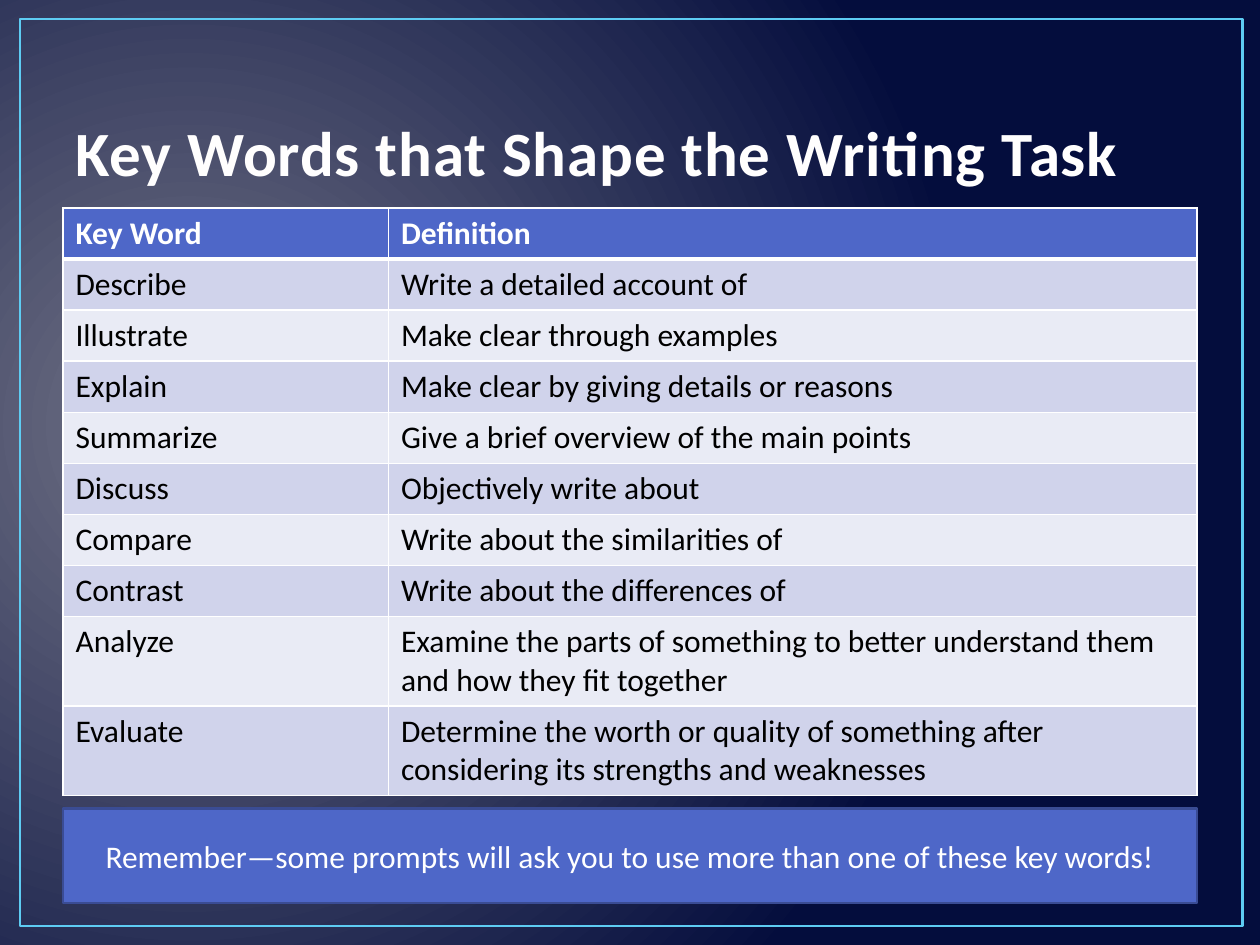
from lxml.etree import SubElement as Sub
from pptx import Presentation
from pptx.dml.color import RGBColor
from pptx.enum.shapes import MSO_SHAPE as Shape
from pptx.enum.text import MSO_ANCHOR as Anchor, MSO_AUTO_SIZE as Auto, PP_ALIGN as Align
from pptx.oxml import parse_xml
from pptx.oxml.ns import nsdecls, qn
from pptx.util import Pt

WHITE, BLUE = "FFFFFF", "4E67C8"
BANDS = ["D0D3EB", "E9EBF5"]
WORDS = [
    ("Key Word", "Definition"),
    ("Describe", "Write a detailed account of"),
    ("Illustrate", "Make clear through examples"),
    ("Explain", "Make clear by giving details or reasons"),
    ("Summarize", "Give a brief overview of the main points"),
    ("Discuss", "Objectively write about"),
    ("Compare", "Write about the similarities of"),
    ("Contrast", "Write about the differences of"),
    ("Analyze", "Examine the parts of something to better understand them "
                "and how they fit together"),
    ("Evaluate", "Determine the worth or quality of something after "
                 "considering its strengths and weaknesses"),
]


def rgb(code):
    return RGBColor.from_string(code)


def write(frame, text, size=18, color=WHITE, bold=False, align=Align.LEFT):
    para = frame.paragraphs[0]
    para.alignment = align
    run = para.add_run()
    run.text = text
    font = run.font
    font.name, font.size, font.bold = "Calibri", Pt(size), bold
    font.color.rgb = rgb(color)
    return run


def place(item, box):
    item.left, item.top, item.width, item.height = map(Pt, box)


def stroke(parent, tag, color, width):
    """Add a solid line element, such as a:ln or a:lnL, to parent."""
    line = Sub(parent, qn(tag), w=str(Pt(width)))
    fill = Sub(line, qn("a:solidFill"))
    Sub(fill, qn("a:srgbClr"), val=color)
    return line


def backdrop(slide):
    slide.element.cSld.insert(0, parse_xml(
        f'<p:bg {nsdecls("p", "a")}><p:bgPr><a:gradFill rotWithShape="1"><a:gsLst>'
        '<a:gs pos="0"><a:srgbClr val="717386"/></a:gs>'
        '<a:gs pos="100000"><a:srgbClr val="040D3D"/></a:gs></a:gsLst>'
        '<a:path path="circle"><a:fillToRect l="15000" t="50000" r="85000" b="60000"/>'
        '</a:path></a:gradFill><a:effectLst/></p:bgPr></p:bg>'))


def panel(slide, box, line, width, fill=None):
    rect = slide.shapes.add_shape(Shape.RECTANGLE, *map(Pt, box))
    rect.shadow.inherit = False
    if fill:
        rect.fill.solid()
        rect.fill.fore_color.rgb = rgb(fill)
    else:
        rect.fill.background()
    rect.line.color.rgb = rgb(line)
    rect.line.width = Pt(width)
    return rect


def heading(slide, box, text):
    title = slide.shapes.title
    place(title, box)
    frame = title.text_frame
    frame.word_wrap, frame.auto_size = True, Auto.NONE
    frame.vertical_anchor = Anchor.BOTTOM
    run = write(frame, text, size=36, color="FFFEFE", bold=True)
    props = run.font._element
    props.set("spc", "50")
    props.insert(0, stroke(props, "a:ln", "21306A", 1.05))


def glossary(slide, box, rows):
    table = slide.shapes.add_table(len(rows), 2, *map(Pt, box)).table
    first = 186
    table.columns[0].width = Pt(first)
    table.columns[1].width = Pt(box[2] - first)
    for r, row in enumerate(rows):
        head = r == 0
        table.rows[r].height = Pt(47.5 if len(row[1]) > 60 else 27.4)
        edges = {"L": 1, "R": 1, "T": 3 if r == 1 else 1, "B": 3 if head else 1}
        for c, text in enumerate(row):
            cell = table.cell(r, c)
            props = cell._tc.get_or_add_tcPr()
            for side, width in edges.items():
                stroke(props, f"a:ln{side}", WHITE, width)
            cell.fill.solid()
            cell.fill.fore_color.rgb = rgb(BLUE if head else BANDS[(r - 1) % 2])
            write(cell.text_frame, text, color=WHITE if head else "000000", bold=head)


def reminder(slide, box, text):
    frame = panel(slide, box, "3A4C94", 1.25, BLUE).text_frame
    frame.word_wrap = True
    frame.vertical_anchor = Anchor.MIDDLE
    write(frame, text, align=Align.CENTER)


def main():
    deck = Presentation()
    deck.slide_width, deck.slide_height = Pt(720), Pt(540)
    slide = deck.slides.add_slide(deck.slide_layouts[5])
    left, wide = 36, 648
    backdrop(slide)
    panel(slide, (11.5, 10.8, 698.4, 518.4), "5ECCF3", 1.5)
    heading(slide, (left, 21.6, wide, 90), "Key Words that Shape the Writing Task")
    glossary(slide, (left, 118.8, wide, 331.2), WORDS)
    reminder(slide, (left, 462, wide, 54),
             "Remember—some prompts will ask you to use more than one of these key words!")
    deck.save("out.pptx")


if __name__ == "__main__":
    main()
